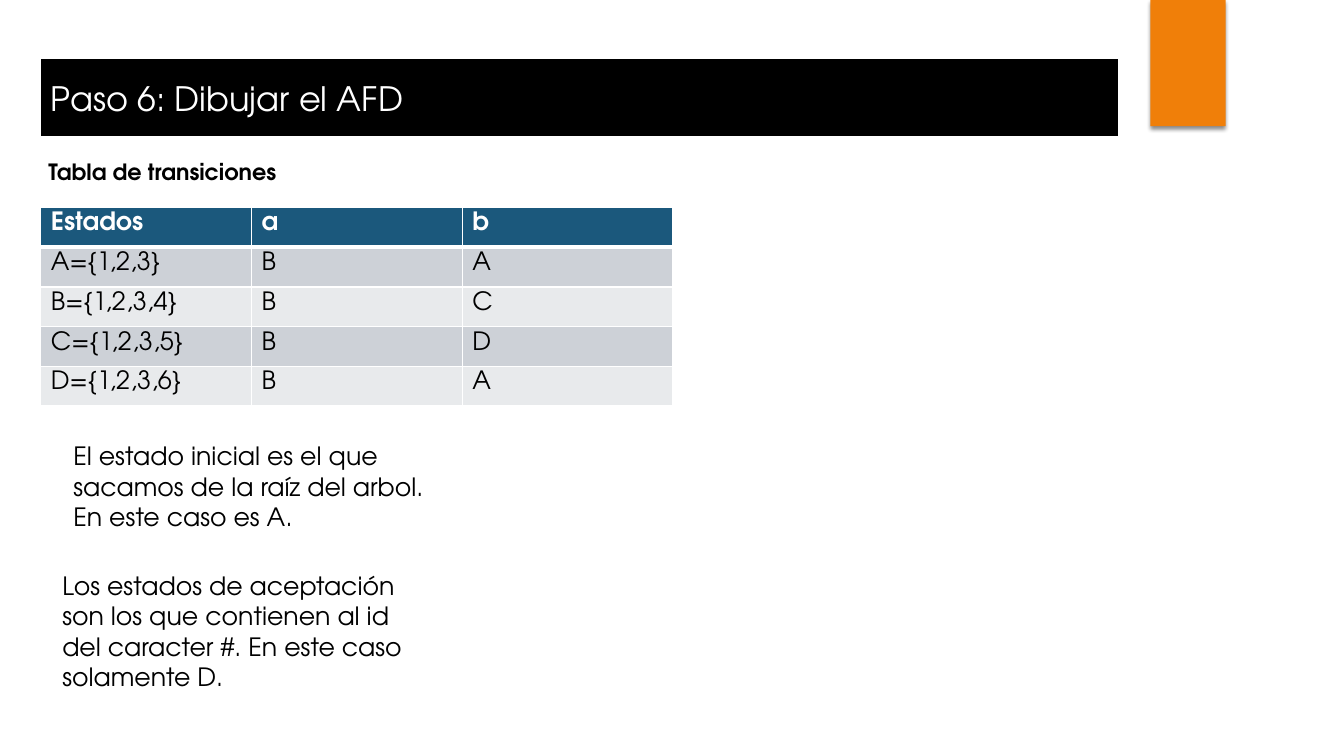
from lxml.etree import SubElement
from pptx import Presentation
from pptx.dml.color import RGBColor
from pptx.enum.shapes import MSO_SHAPE
from pptx.enum.text import MSO_ANCHOR, MSO_AUTO_SIZE, PP_ALIGN
from pptx.oxml import parse_xml
from pptx.oxml.ns import nsdecls, qn
from pptx.util import Cm, Pt

FONT = "TeX Gyre Adventor"
BLACK, WHITE, ORANGE, NAVY = "000000", "FFFFFF", "F07F09", "1B587C"
BANDS = ("CDD1D7", "E8EAEC")

TRANSITIONS = [
    ("Estados", "a", "b"),
    ("A={1,2,3}", "B", "A"),
    ("B={1,2,3,4}", "B", "C"),
    ("C={1,2,3,5}", "B", "D"),
    ("D={1,2,3,6}", "B", "A"),
]


def paint(color_owner, color):
    """Fill a shape, cell, line or font with one solid colour."""
    fill = color_owner.fill
    fill.solid()
    fill.fore_color.rgb = RGBColor.from_string(color)


def write(frame, paragraphs, size, color=BLACK, bold=False):
    for index, text in enumerate(paragraphs):
        paragraph = frame.add_paragraph() if index else frame.paragraphs[0]
        paragraph.alignment = PP_ALIGN.LEFT
        run = paragraph.add_run()
        run.text = text
        run.font.name = FONT
        run.font.size = Pt(size)
        run.font.bold = bold
        paint(run.font, color)


def add_accent(slide):
    accent = slide.shapes.add_shape(
        MSO_SHAPE.RECTANGLE, Cm(28.99), Cm(0), Cm(1.9), Cm(3.18))
    paint(accent, ORANGE)
    accent.line.fill.background()
    accent.shadow.inherit = False
    effects = accent.element.spPr.find(qn("a:effectLst"))
    shadow = SubElement(effects, qn("a:outerShdw"), blurRad=str(Pt(3)),
                        dist=str(Pt(2)), dir="5400000", rotWithShape="0")
    shade = SubElement(shadow, qn("a:srgbClr"), val=BLACK)
    SubElement(shade, qn("a:alpha"), val="45000")


def set_title(slide, text):
    title = slide.shapes.title
    title.left, title.top = Cm(1.03), Cm(1.48)
    title.width, title.height = Cm(27.15), Cm(1.96)
    paint(title, BLACK)
    paint(title.line, WHITE)
    title.line.width = Pt(0.75)
    frame = title.text_frame
    frame.auto_size = MSO_AUTO_SIZE.NONE
    frame.vertical_anchor = MSO_ANCHOR.MIDDLE
    write(frame, [text], 24, WHITE)


def add_note(slide, left, top, width, height, paragraphs, size=18, bold=False):
    note = slide.shapes.add_textbox(Cm(left), Cm(top), Cm(width), Cm(height))
    note.text_frame.word_wrap = True
    note.text_frame.auto_size = MSO_AUTO_SIZE.SHAPE_TO_FIT_TEXT
    write(note.text_frame, paragraphs, size, bold=bold)


def set_borders(cell, top, bottom):
    """Draw white cell borders; widths are in points."""
    widths = {"lnL": 1, "lnR": 1, "lnT": top, "lnB": bottom}
    properties = cell._tc.get_or_add_tcPr()
    for index, (side, width) in enumerate(widths.items()):
        properties.insert(index, parse_xml(
            f'<a:{side} {nsdecls("a")} w="{Pt(width)}"><a:solidFill>'
            f'<a:srgbClr val="{WHITE}"/></a:solidFill></a:{side}>'))


def add_transition_table(slide):
    row_height, column_width = Cm(1), Cm(5.31)
    columns = len(TRANSITIONS[0])
    table = slide.shapes.add_table(
        len(TRANSITIONS), columns, Cm(1.03), Cm(5.23),
        column_width * columns, row_height * len(TRANSITIONS)).table
    for column in table.columns:
        column.width = column_width
    for row, values in enumerate(TRANSITIONS):
        table.rows[row].height = row_height
        header = row == 0
        for column, value in enumerate(values):
            cell = table.cell(row, column)
            cell.margin_top, cell.margin_bottom = Cm(0.12), Cm(0.05)
            cell.vertical_anchor = MSO_ANCHOR.TOP
            paint(cell, NAVY if header else BANDS[(row - 1) % 2])
            set_borders(cell, 3 if row == 1 else 1, 3 if header else 1)
            write(cell.text_frame, [value], 18,
                  WHITE if header else BLACK, bold=header)


def main():
    deck = Presentation()
    deck.slide_width, deck.slide_height = Cm(33.87), Cm(19.05)
    slide = deck.slides.add_slide(deck.slide_layouts[5])

    # Header
    add_accent(slide)
    set_title(slide, "Paso 6: Dibujar el AFD")

    # Transition table
    add_transition_table(slide)
    add_note(slide, 0.97, 3.86, 8.28, 0.94, ["Tabla de transiciones"],
             size=16, bold=True)

    # Initial and accepting states
    add_note(slide, 1.6, 10.98, 9.75, 2.57, [
        "El estado inicial es el que sacamos de la raíz del arbol.",
        "En este caso es A."])
    add_note(slide, 1.32, 14.25, 9.75, 3.33, [
        "Los estados de aceptación son los que contienen al id del "
        "caracter #. En este caso solamente D."])

    deck.save("out.pptx")


if __name__ == "__main__":
    main()
